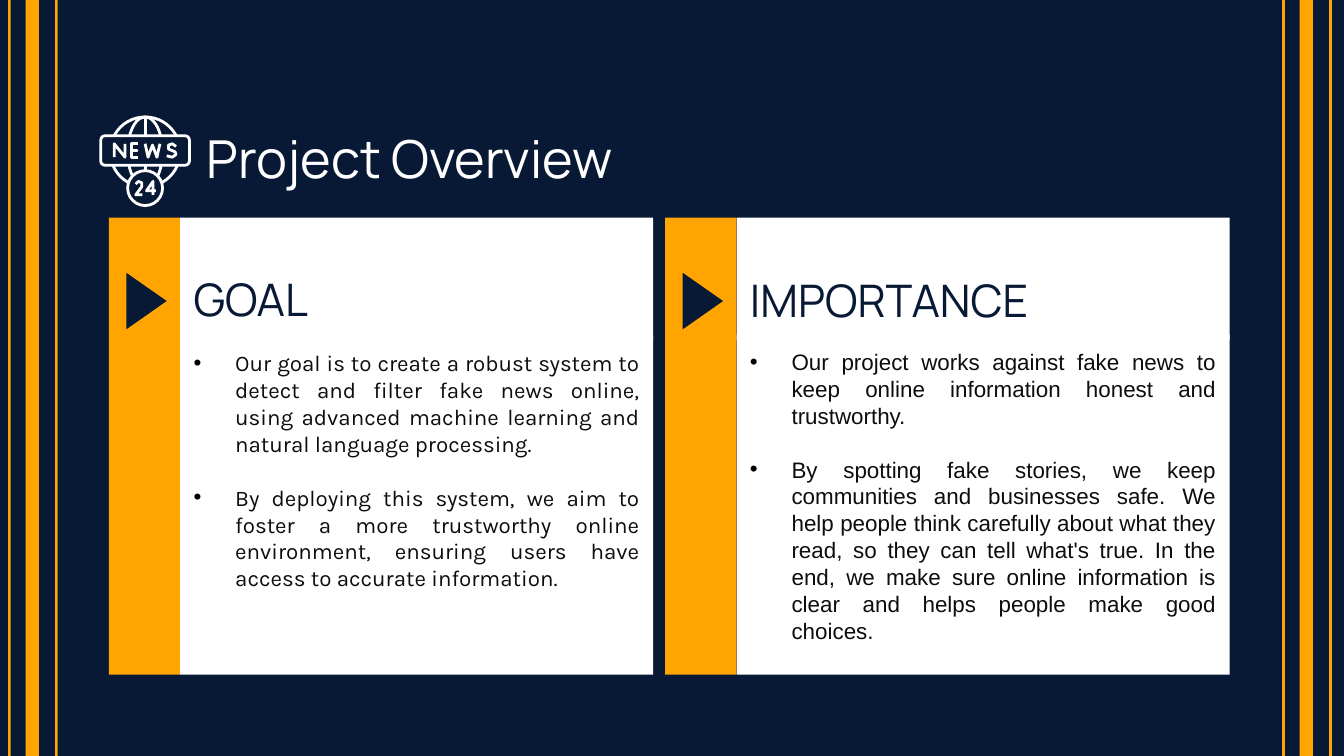
import pptx
import pptx.util
import pptx.dml.color
import pptx.enum.shapes
import pptx.enum.text
import pptx.oxml.ns
import lxml.etree
from dataclasses import dataclass

Inches, Pt = pptx.util.Inches, pptx.util.Pt
Rgb = pptx.dml.color.RGBColor.from_string
Kind = pptx.enum.shapes.MSO_SHAPE
Align = pptx.enum.text.PP_ALIGN
Anchor = pptx.enum.text.MSO_ANCHOR

WIDE = 10
TALL = WIDE * 9 / 16


@dataclass(frozen=True)
class Theme:
    navy: str = "081935"
    gold: str = "FFA400"
    white: str = "FFFFFF"
    ink: str = "0D0D0D"
    dot: str = "000000"
    head_font: str = "Manrope"
    title_size: float = 28
    head_size: float = 24
    list_size: float = 12
    list_pitch: float = 14.4
    stroke: float = 1.5


def put(item, values):
    for name, value in values.items():
        setattr(item, name, value)


class Deck:
    def __init__(self, theme):
        self.theme = theme
        self.file = pptx.Presentation()
        put(self.file, {"slide_width": Inches(WIDE), "slide_height": Inches(TALL)})
        # The comparison layout holds a title, two headings and two lists
        self.slide = self.file.slides.add_slide(self.file.slide_layouts[4])
        self.slide.background.fill.solid()
        self.slide.background.fill.fore_color.rgb = Rgb(theme.navy)
        self.layer = self.slide.shapes

    def paint(self, shape, fill=None, line=None):
        if fill:
            shape.fill.solid()
            shape.fill.fore_color.rgb = Rgb(fill)
        else:
            shape.fill.background()
        if line:
            shape.line.color.rgb = Rgb(line)
            shape.line.width = Pt(self.theme.stroke)
        else:
            shape.line.fill.background()

    def shape(self, kind, box, fill=None, line=None, turn=0):
        shape = self.layer.add_shape(kind, *map(Inches, box))
        shape.shadow.inherit = False
        shape.rotation = turn
        self.paint(shape, fill, line)
        return shape

    def line(self, *ends):
        line = self.layer.add_connector(
            pptx.enum.shapes.MSO_CONNECTOR.STRAIGHT, *map(Inches, ends))
        line.line.color.rgb = Rgb(self.theme.white)
        line.line.width = Pt(self.theme.stroke)
        props = line._element.spPr
        lxml.etree.SubElement(props, pptx.oxml.ns.qn("a:effectLst"))

    def glyph(self, box, points):
        left, top, width, height = box
        spots = [(Inches(left + x * width), Inches(top + y * height))
                 for x, y in points]
        pen = self.layer.build_freeform(*spots[0])
        pen.add_line_segments(spots[1:], close=False)
        shape = pen.convert_to_shape()
        shape.shadow.inherit = False
        self.paint(shape, line=self.theme.white)

    def bullet(self, para):
        qn = pptx.oxml.ns.qn
        props = para._p.get_or_add_pPr()
        props.set("marL", str(Inches(0.31)))
        props.set("indent", str(-Inches(0.31)))
        color = lxml.etree.SubElement(props, qn("a:buClr"))
        lxml.etree.SubElement(color, qn("a:srgbClr"), val=self.theme.dot)
        lxml.etree.SubElement(props, qn("a:buFont"), typeface="Arial")
        lxml.etree.SubElement(props, qn("a:buChar"), char="•")

    def text(self, slot, box, lines, font, size, color, fill, anchor, listed=False):
        holder = self.slide.placeholders[slot]
        put(holder, dict(zip(("left", "top", "width", "height"), map(Inches, box))))
        self.paint(holder, fill)
        frame = holder.text_frame
        put(frame, {"word_wrap": True, "vertical_anchor": anchor,
                    "auto_size": pptx.enum.text.MSO_AUTO_SIZE.NONE})
        put(frame, {f"margin_{side}": Inches(0.1)
                    for side in ("left", "top", "right", "bottom")})
        for i, words in enumerate(lines):
            para = frame.add_paragraph() if i else frame.paragraphs[0]
            if listed:
                self.bullet(para)
                para.line_spacing = Pt(self.theme.list_pitch)
            put(para, {"alignment": Align.JUSTIFY if listed else Align.LEFT,
                       "space_before": Pt(self.theme.list_pitch if i else 0)})
            run = para.add_run()
            run.text = words
            put(run.font, {"name": font, "size": Pt(size), "bold": False})
            run.font.color.rgb = Rgb(color)

    def card(self, slot, left, width, head, tall, split, font, lines):
        look = self.theme
        edge = left + 0.53
        self.text(slot, (edge, 1.62, width, tall), [head], look.head_font,
                  look.head_size, look.navy, look.white, Anchor.BOTTOM)
        self.text(slot + 1, (edge, split, width, 5.02 - split), lines, font,
                  look.list_size, look.ink, look.white, Anchor.TOP, True)
        self.shape(Kind.RECTANGLE, (left, 1.62, 0.53, 3.4), look.gold)
        self.shape(Kind.ISOSCELES_TRIANGLE, (left + 0.07, 2.09, 0.42, 0.3),
                   look.navy, turn=90)

    def icon(self):
        look = self.theme
        self.layer = self.slide.shapes.add_group_shape().shapes
        # Globe, banner and badge
        self.shape(Kind.OVAL, (0.82, 0.87, 0.52, 0.52), line=look.white)
        self.shape(Kind.OVAL, (0.95, 0.87, 0.26, 0.52), line=look.white)
        self.line(1.08, 0.87, 1.08, 1.27)
        banner = self.shape(Kind.ROUNDED_RECTANGLE, (0.75, 1.01, 0.66, 0.22),
                            look.navy, look.white)
        banner.adjustments[0] = 0.15
        self.shape(Kind.OVAL, (0.95, 1.27, 0.26, 0.26), look.navy, look.white)
        # Lettering, each sign drawn as strokes in a unit box
        for box, points in (
            ((0.85, 1.07, 0.08, 0.1), [(0, 1), (0, 0), (1, 1), (1, 0)]),
            ((0.98, 1.07, 0.05, 0.1), [(1, 0), (0, 0), (0, 0.5), (0.8, 0.5),
                                       (0, 0.5), (0, 1), (1, 1)]),
            ((1.08, 1.07, 0.11, 0.1), [(0, 0), (0.2, 1), (0.5, 0.1), (0.8, 1), (1, 0)]),
            ((1.24, 1.07, 0.07, 0.1), [(1, 0.2), (0.6, 0), (0.2, 0.1), (0.2, 0.4),
                                       (0.9, 0.6), (1, 0.8), (0.6, 1), (0, 0.9)]),
            ((1.01, 1.35, 0.05, 0.1), [(0, 0.2), (0.4, 0), (0.9, 0.1), (0.9, 0.4),
                                       (0, 1), (1, 1)]),
            ((1.09, 1.35, 0.07, 0.1), [(0.7, 1), (0.7, 0), (0, 0.7), (1, 0.7)]),
        ):
            self.glyph(box, points)
        self.layer = self.slide.shapes


def main():
    look = Theme()
    deck = Deck(look)

    # Gold stripes down both sides
    for edge in (0.06, 9.54):
        for gap, width in ((0, 0.02), (0.13, 0.1), (0.35, 0.02)):
            deck.shape(Kind.RECTANGLE, (edge + gap, 0, width, TALL), look.gold)

    # Title
    deck.text(0, (1.44, 0.83, 4.27, 0.69), ["Project Overview"], look.head_font,
              look.title_size, look.white, look.navy, Anchor.MIDDLE)

    # Cards
    deck.card(1, 0.81, 3.52, "GOAL", 0.9, 2.5, "Karla", [
        "Our goal is to create a robust system to detect and filter fake news "
        "online, using advanced machine learning and natural language processing.",
        "By deploying this system, we aim to foster a more trustworthy online "
        "environment, ensuring users have access to accurate information."])
    deck.card(3, 4.95, 3.67, "IMPORTANCE", 0.91, 2.49, "Arial", [
        "Our project works against fake news to keep online information honest "
        "and trustworthy.",
        "By spotting fake stories, we keep communities and businesses safe. We "
        "help people think carefully about what they read, so they can tell "
        "what's true. In the end, we make sure online information is clear and "
        "helps people make good choices."])

    # News icon
    deck.icon()
    deck.file.save("out.pptx")


if __name__ == "__main__":
    main()
